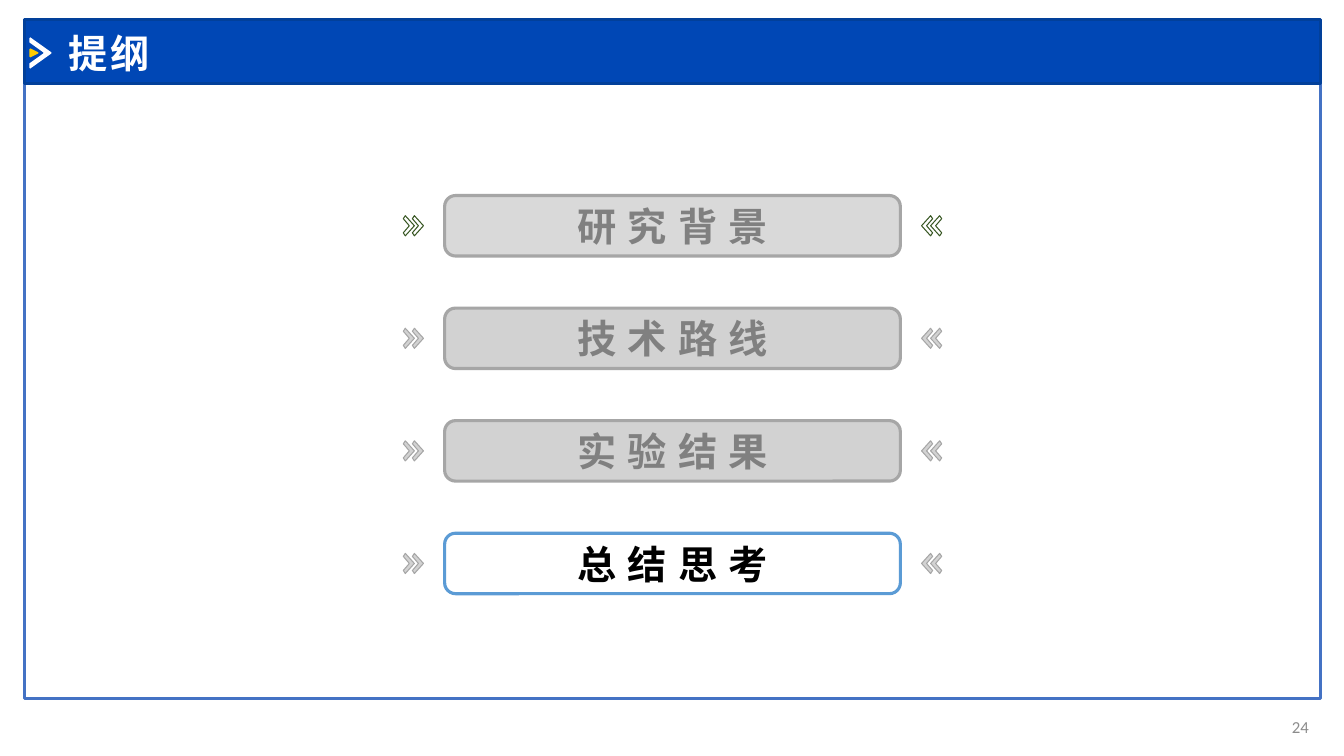
import pptx
import pptx.util
import pptx.dml.color
import pptx.enum.shapes
import pptx.enum.text
import pptx.oxml.ns
import pptx.oxml.xmlchemy

Inches = pptx.util.Inches
Pt = pptx.util.Pt
RGBColor = pptx.dml.color.RGBColor
MSO_SHAPE = pptx.enum.shapes.MSO_SHAPE
PP_ALIGN = pptx.enum.text.PP_ALIGN
OxmlElement = pptx.oxml.xmlchemy.OxmlElement

WHITE = RGBColor(0xFF, 0xFF, 0xFF)
BLACK = RGBColor(0x00, 0x00, 0x00)
BANNER_BLUE = RGBColor(0x00, 0x47, 0xB5)
BANNER_EDGE = RGBColor(0x02, 0x40, 0x9A)
FRAME_BLUE = RGBColor(0x44, 0x72, 0xC4)
ACTIVE_BLUE = RGBColor(0x5B, 0x9B, 0xD5)
YELLOW = RGBColor(0xFF, 0xCC, 0x00)
GREEN = RGBColor(0x38, 0x57, 0x23)
LIGHT_GRAY = RGBColor(0xD9, 0xD9, 0xD9)
MID_GRAY = RGBColor(0xA6, 0xA6, 0xA6)
TEXT_GRAY = RGBColor(0x80, 0x80, 0x80)
NUMBER_GRAY = RGBColor(0x8C, 0x8C, 0x8C)
CJK_FONT = "Noto Sans CJK SC"


def paint(shape, fill=None, line=None, width=0.75, opacity=100):
    shape.shadow.inherit = False
    if fill is None:
        shape.fill.background()
    else:
        shape.fill.solid()
        shape.fill.fore_color.rgb = fill
        if opacity < 100:
            solid = shape._element.spPr.find(pptx.oxml.ns.qn("a:solidFill"))
            alpha = OxmlElement("a:alpha")
            alpha.set("val", str(opacity * 1000))
            solid[0].append(alpha)
    if line is None:
        shape.line.fill.background()
    else:
        shape.line.color.rgb = line
        shape.line.width = Pt(width)


def write(shape, text, size, color, font, align, bold=False, spacing=0):
    frame = shape.text_frame
    frame.text = text
    frame.word_wrap = True
    frame.vertical_anchor = pptx.enum.text.MSO_ANCHOR.MIDDLE
    paragraph = frame.paragraphs[0]
    paragraph.alignment = align
    run = paragraph.runs[0]
    run.font.size = Pt(size)
    run.font.bold = bold
    run.font.color.rgb = color
    run.font.name = font
    properties = run._r.get_or_add_rPr()
    properties.set("spc", str(spacing * 100))
    east_asian = OxmlElement("a:ea")
    east_asian.set("typeface", CJK_FONT)
    properties.append(east_asian)


presentation = pptx.Presentation()
presentation.slide_width = Inches(13.33)
presentation.slide_height = Inches(7.5)
slide = presentation.slides.add_slide(presentation.slide_layouts[6])
shapes = slide.shapes

# Frame and banner
for top, height, fill, line in [(0.83, 6.1, None, FRAME_BLUE),
                                (0.19, 0.64, BANNER_BLUE, BANNER_EDGE)]:
    panel = shapes.add_shape(MSO_SHAPE.RECTANGLE, Inches(0.24), Inches(top),
                             Inches(12.86), Inches(height))
    paint(panel, fill, line, 2)

# Banner arrow, then the outline chevrons beside each topic
BANNER_ARROW = [(0.3, 0.37), (0.29, 0.38), (0.29, 0.42), (0.43, 0.52), (0.43, 0.53),
                (0.29, 0.63), (0.29, 0.67), (0.3, 0.68), (0.51, 0.53), (0.51, 0.52)]
BANNER_TIP = [(0.3, 0.48), (0.29, 0.49), (0.29, 0.56), (0.3, 0.57),
              (0.38, 0.53), (0.38, 0.52)]
CHEVRON = [(0.02, -0.1), (0, -0.07), (0.06, 0), (0, 0.07), (0.02, 0.1), (0.11, 0)]
MIRROR = 13.34
TOPIC_TOP = 1.94
TOPIC_STEP = 3.35 / 3
TOPIC_HEIGHT = 0.6

outlines = [(BANNER_ARROW, (WHITE,)), (BANNER_TIP, (YELLOW,))]
for row in range(4):
    middle = TOPIC_TOP + row * TOPIC_STEP + TOPIC_HEIGHT / 2
    style = (None, GREEN) if row == 0 else (MID_GRAY, MID_GRAY, 0.75, 50)
    for left in (4, 4.09):
        points = [(left + x, middle + y) for x, y in CHEVRON]
        outlines.append((points, style))
        outlines.append(([(MIRROR - x, y) for x, y in points], style))

for points, style in outlines:
    corners = [(Inches(x), Inches(y)) for x, y in points]
    builder = shapes.build_freeform(*corners[0], scale=1.0)
    builder.add_line_segments(corners[1:], close=True)
    paint(builder.convert_to_shape(), *style)

# Topic boxes: text, text colour, fill, line, opacity
topics = [
    ("研究背景", TEXT_GRAY, LIGHT_GRAY, MID_GRAY, 100),
    ("技术路线", TEXT_GRAY, MID_GRAY, MID_GRAY, 50),
    ("实验结果", TEXT_GRAY, MID_GRAY, MID_GRAY, 50),
    ("总结思考", BLACK, None, ACTIVE_BLUE, 100),
]
for row, (text, color, fill, line, opacity) in enumerate(topics):
    box = shapes.add_shape(MSO_SHAPE.ROUNDED_RECTANGLE, Inches(4.41),
                           Inches(TOPIC_TOP + row * TOPIC_STEP),
                           Inches(4.52), Inches(TOPIC_HEIGHT))
    box.adjustments[0] = 0.18
    paint(box, fill, line, 2.25, opacity)
    write(box, text, 28, color, CJK_FONT, PP_ALIGN.CENTER, bold=True, spacing=8)

# Title and page number
title = shapes.add_textbox(Inches(0.58), Inches(0.24), Inches(11.04), Inches(0.57))
write(title, "提纲", 28, WHITE, "Calibri", PP_ALIGN.LEFT, bold=True, spacing=2)
number = shapes.add_textbox(Inches(12.29), Inches(7.01), Inches(0.79), Inches(0.4))
write(number, "24", 12, NUMBER_GRAY, "Calibri", PP_ALIGN.RIGHT)

presentation.save("out.pptx")
